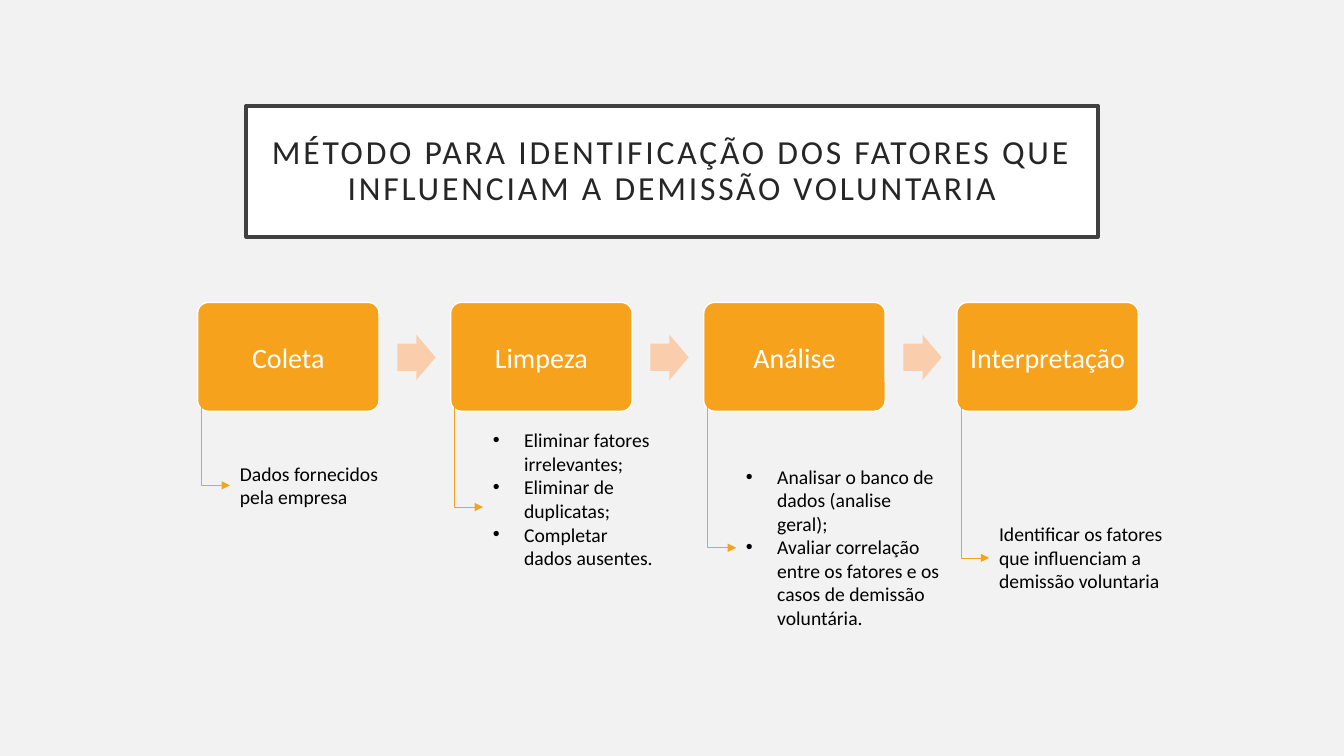
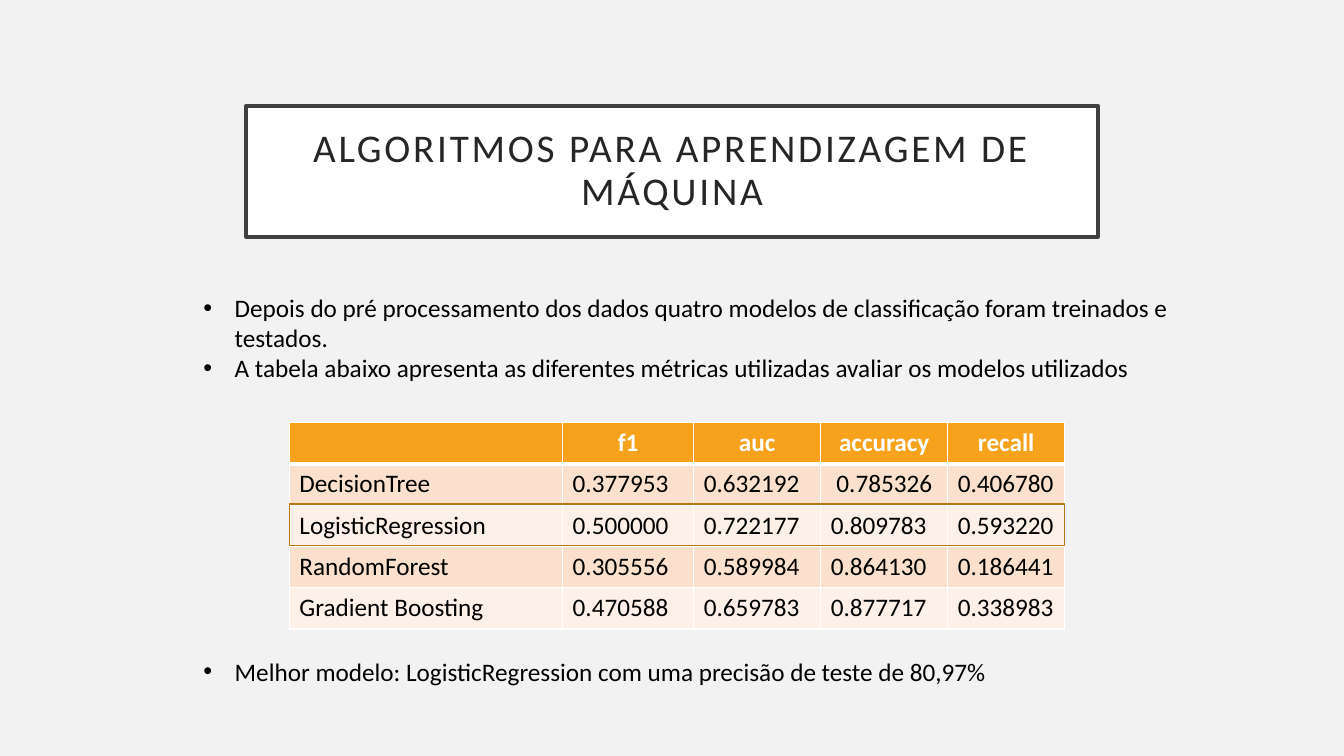
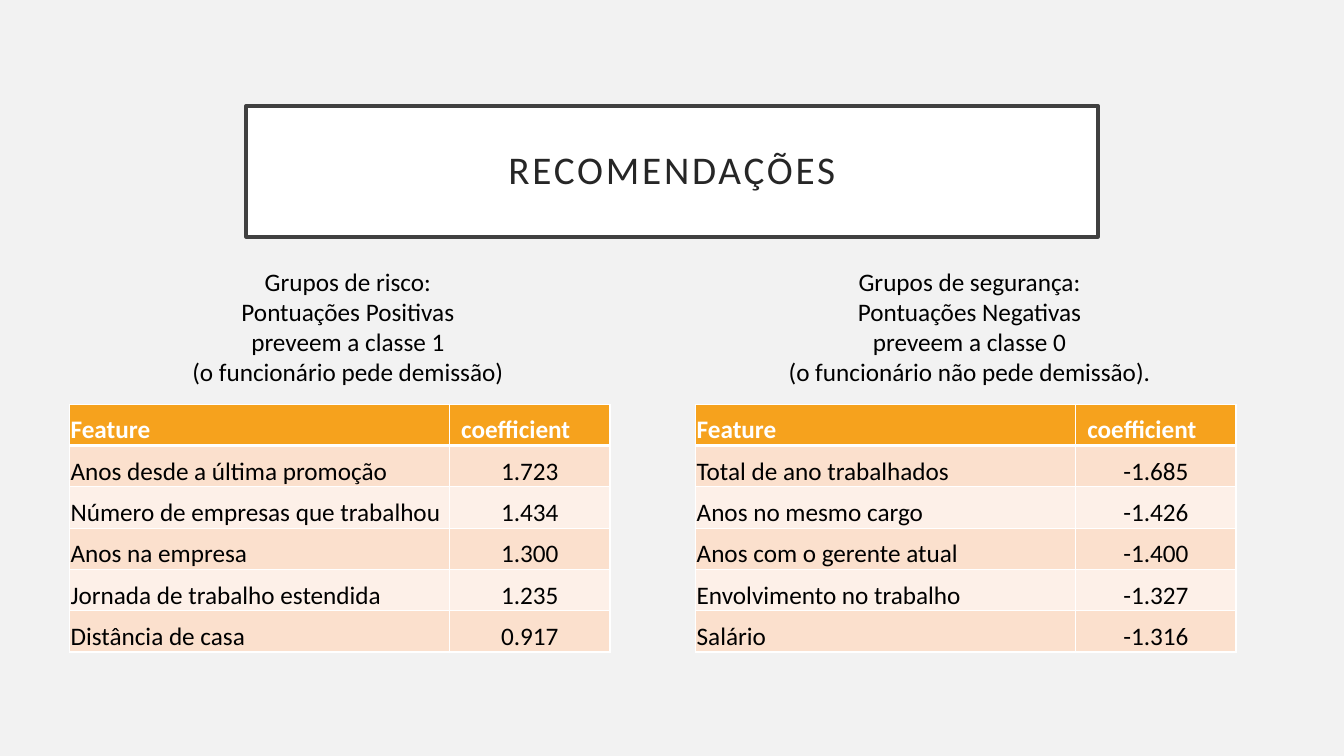
from lxml.etree import SubElement
from pptx import Presentation
from pptx.dml.color import RGBColor
from pptx.enum.shapes import MSO_CONNECTOR, MSO_SHAPE
from pptx.enum.text import MSO_ANCHOR, PP_ALIGN
from pptx.oxml.ns import qn
from pptx.util import Inches, Pt

LEFT, CENTER = PP_ALIGN.LEFT, PP_ALIGN.CENTER
TOP, BOTTOM = MSO_ANCHOR.TOP, MSO_ANCHOR.BOTTOM
RECT, ROUND, ARROW = MSO_SHAPE.RECTANGLE, MSO_SHAPE.ROUNDED_RECTANGLE, MSO_SHAPE.RIGHT_ARROW
ELBOW = MSO_CONNECTOR.ELBOW

FONT = "Calibri"
HEX = {
    "page": "F2F2F2", "white": "FFFFFF", "black": "000000", "title": "262626",
    "frame": "404040", "main": "F6A21D", "arrow": "FACEAC", "mark": "B67815",
    "odd": "FBE0CD", "even": "FDF0E8",
}
RGB = {name: RGBColor.from_string(code) for name, code in HEX.items()}


def write(frame, text, size, color="black", align=LEFT, bold=False, bullet=False):
    frame.word_wrap = True
    frame.text = text
    for para in frame.paragraphs:
        para.alignment = align
        if bullet:
            props = para._p.get_or_add_pPr()
            props.set("marL", str(Inches(0.31)))
            props.set("indent", str(-Inches(0.31)))
            SubElement(props, qn("a:buFont")).set("typeface", "Arial")
            SubElement(props, qn("a:buChar")).set("char", "•")
        for run in para.runs:
            run.font.name = FONT
            run.font.size = Pt(size)
            run.font.bold = bold
            run.font.color.rgb = RGB[color]


def grid(slide, left, top, widths, data, aligns, anchor, pads):
    table = slide.shapes.add_table(
        len(data), len(widths), Inches(left), Inches(top),
        Inches(sum(widths)), Inches(0.41 * len(data))).table
    for col, width in zip(table.columns, widths):
        col.width = Inches(width)
    for r, row in enumerate(data):
        table.rows[r].height = Inches(0.41)
        for c, value in enumerate(row):
            cell = table.cell(r, c)
            cell.vertical_anchor = anchor
            cell.margin_left, cell.margin_top, cell.margin_right, cell.margin_bottom = map(Inches, pads)
            color = "black" if r else "white"
            write(cell.text_frame, value, 18, color, aligns[c], r == 0)
            props = cell._tc.get_or_add_tcPr()
            for side in ("lnL", "lnR", "lnT", "lnB"):
                thick = (r, side) in ((0, "lnB"), (1, "lnT"))
                edge = SubElement(props, qn("a:" + side), w=str(Pt(3 if thick else 1)))
                fill = SubElement(edge, qn("a:solidFill"))
                SubElement(fill, qn("a:srgbClr")).set("val", HEX["white"])
            cell.fill.solid()
            cell.fill.fore_color.rgb = RGB[("even", "odd")[r % 2] if r else "main"]
    return table


prs = Presentation()
prs.slide_width, prs.slide_height = Inches(13.33), Inches(7.5)
back = prs.slide_master.background.fill
back.solid()
back.fore_color.rgb = RGB["page"]

titles = [
    ("MÉTODO PARA IDENTIFICAÇÃO DOS FATORES QUE INFLUENCIAM A DEMISSÃO VOLUNTARIA", 24),
    ("ALGORITMOS PARA APRENDIZAGEM DE MÁQUINA", 28),
    ("RECOMENDAÇÕES", 28),
]
slides = []
for text, size in titles:
    slide = prs.slides.add_slide(prs.slide_layouts[6])
    box = slide.shapes.add_shape(RECT, Inches(2.44), Inches(1.05), Inches(8.45), Inches(1.3))
    box.shadow.inherit = False
    box.fill.solid()
    box.fill.fore_color.rgb = RGB["white"]
    box.line.color.rgb = RGB["frame"]
    box.line.width = Pt(2.5)
    frame = box.text_frame
    frame.margin_left = frame.margin_right = frame.margin_top = frame.margin_bottom = Inches(0.2)
    write(frame, text, size, "title", CENTER)
    para = frame.paragraphs[0]
    para.line_spacing = 0.9
    para.runs[0].font._element.set("spc", "200")
    slides.append(slide)
method, models, advice = slides

steps = [
    ("Coleta", 4.53, 1.72, 0.57, False, "Dados fornecidos pela empresa"),
    ("Limpeza", 4.2, 1.81, 1.66, True,
     "Eliminar fatores irrelevantes;\nEliminar de duplicatas;\nCompletar dados ausentes."),
    ("Análise", 4.56, 2.12, 1.75, True,
     "Analisar o banco de dados (analise geral);\n"
     "Avaliar correlação entre os fatores e os casos de demissão voluntária."),
    ("Interpretação", 5.13, 2.12, 0.81, False,
     "Identificar os fatores que influenciam a demissão voluntaria"),
]
for i, (name, top, width, height, bullet, text) in enumerate(steps):
    left = 1.96 + 2.51 * i
    step = method.shapes.add_shape(ROUND, Inches(left), Inches(3), Inches(1.8), Inches(1.08))
    step.adjustments[0] = 0.1
    step.shadow.inherit = False
    step.fill.solid()
    step.fill.fore_color.rgb = RGB["main"]
    step.line.color.rgb = RGB["white"]
    step.line.width = Pt(1)
    step.text_frame.margin_left = step.text_frame.margin_right = Inches(0.08)
    write(step.text_frame, name, 20, "white", CENTER)

    if i < len(steps) - 1:
        arrow = method.shapes.add_shape(
            ARROW, Inches(left + 1.98), Inches(3.32), Inches(0.38), Inches(0.45))
        arrow.adjustments[0] = 0.6
        arrow.adjustments[1] = 0.5
        arrow.shadow.inherit = False
        arrow.fill.solid()
        arrow.fill.fore_color.rgb = RGB["arrow"]
        arrow.line.fill.background()

    note = method.shapes.add_textbox(Inches(left + 0.32), Inches(top), Inches(width), Inches(height))
    write(note.text_frame, text, 14, bullet=bullet)

    across, down = 0.28, top + height / 2 - 3.91
    midx, midy = left + 0.04 + across / 2, 3.91 + down / 2
    link = method.shapes.add_connector(
        ELBOW, Inches(midx + down / 2), Inches(midy - across / 2),
        Inches(midx - down / 2), Inches(midy + across / 2))
    link.line.color.rgb = RGB["main"]
    link.line.width = Pt(0.5)
    props = link._element.spPr
    props.find(qn("a:xfrm")).set("rot", "16200000")
    props.find(qn("a:prstGeom")).set("prst", "bentConnector2")
    SubElement(props.find(qn("a:ln")), qn("a:tailEnd")).set("type", "triangle")
    SubElement(props, qn("a:effectLst"))

points = [
    (2.85, 1.01, "Depois do pré processamento dos dados quatro modelos de classificação foram "
     "treinados e testados.\nA tabela abaixo apresenta as diferentes métricas utilizadas "
     "avaliar os modelos utilizados"),
    (6.46, 0.4, "Melhor modelo: LogisticRegression com uma precisão de teste de 80,97%"),
]
for top, height, text in points:
    note = models.shapes.add_textbox(Inches(1.92), Inches(top), Inches(10.27), Inches(height))
    write(note.text_frame, text, 18, bullet=True)

scores = [
    ("", "f1", "auc", "accuracy", "recall"),
    ("DecisionTree", "0.377953", "0.632192", " 0.785326", "0.406780"),
    ("LogisticRegression", "0.500000", "0.722177", "0.809783", "0.593220"),
    ("RandomForest", "0.305556", "0.589984", "0.864130", "0.186441"),
    ("Gradient Boosting", "0.470588", "0.659783", "0.877717", "0.338983"),
]
table = grid(models, 2.87, 4.19, (2.71, 1.3, 1.26, 1.26, 1.16), scores,
             [LEFT] * 5, TOP, (0.1, 0.05, 0.1, 0.05))
for c in range(1, 5):
    table.cell(0, c).text_frame.paragraphs[0].alignment = CENTER
best = models.shapes.add_shape(RECT, Inches(2.87), Inches(5), Inches(7.69), Inches(0.41))
best.shadow.inherit = False
best.fill.background()
best.line.color.rgb = RGB["mark"]
best.line.width = Pt(1)

groups = [
    (0.69, 1.28, 3.84,
     "Grupos de risco:\nPontuações Positivas\npreveem a classe 1\n(o funcionário pede demissão)",
     [("Anos desde a última promoção", "1.723"), ("Número de empresas que trabalhou", "1.434"),
      ("Anos na empresa", "1.300"), ("Jornada de trabalho estendida", "1.235"),
      ("Distância de casa", "0.917")]),
    (6.9, 7.17, 4.39,
     "Grupos de segurança:\nPontuações Negativas\npreveem a classe 0\n(o funcionário não pede demissão).",
     [("Total de ano trabalhados", "-1.685"), ("Anos no mesmo cargo", "-1.426"),
      ("Anos com o gerente atual", "-1.400"), ("Envolvimento no trabalho", "-1.327"),
      ("Salário", "-1.316")]),
]
for left, start, width, text, rows in groups:
    table = grid(advice, left, 4.01, (3.77, 1.59), [("Feature", "coefficient")] + rows,
                 [LEFT, CENTER], BOTTOM, (0.01, 0.01, 0.01, 0))
    table.cell(0, 1).margin_right = Inches(0.29)
    note = advice.shapes.add_textbox(Inches(start), Inches(2.59), Inches(width), Inches(1.31))
    note.text_frame.margin_left = Inches(0.6)
    write(note.text_frame, text, 18, align=CENTER)

prs.save("out.pptx")
